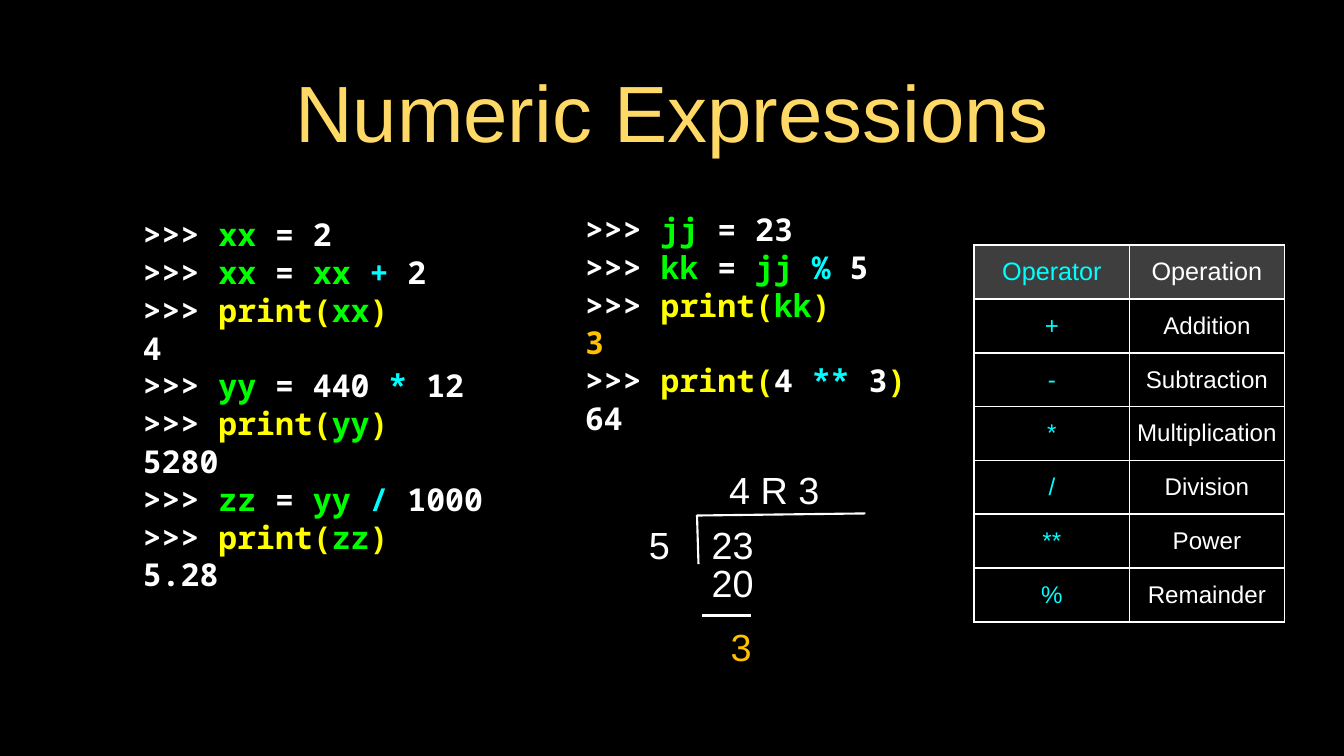
from lxml.etree import SubElement
from pptx import Presentation
from pptx.dml.color import RGBColor
from pptx.enum.shapes import MSO_CONNECTOR
from pptx.enum.text import MSO_ANCHOR, PP_ALIGN
from pptx.oxml.ns import qn
from pptx.util import Cm, Pt

COLORS = {
    "black": "000000",
    "white": "FFFFFF",
    "green": "00FF00",
    "cyan": "00FFFF",
    "yellow": "FFFF00",
    "orange": "FFC000",
    "gold": "FFD966",
    "gray": "7F7F7F",
}
TOKEN_COLORS = {
    **dict.fromkeys(["xx", "yy", "zz", "jj", "kk"], "green"),
    **dict.fromkeys(["+", "*", "/", "%", "**"], "cyan"),
    **dict.fromkeys(["print(", ")"], "yellow"),
    "3": "orange",
}


def rgb(name):
    return RGBColor.from_string(COLORS[name])


def add_text(slide, box, text, size, color, align=PP_ALIGN.CENTER):
    """Add one centred line of Arial in a box given as left, top, width, height in cm."""
    frame = slide.shapes.add_textbox(*map(Cm, box)).text_frame
    frame.word_wrap = True
    frame.vertical_anchor = MSO_ANCHOR.MIDDLE
    frame.margin_left = frame.margin_right = frame.margin_top = frame.margin_bottom = 0
    paragraph = frame.paragraphs[0]
    paragraph.alignment = align
    paragraph.font.name = "Arial"
    paragraph.font.size = Pt(size)
    paragraph.font.color.rgb = rgb(color)
    paragraph.text = text
    return frame


presentation = Presentation()
presentation.slide_width = Cm(45.16)
presentation.slide_height = Cm(25.4)
slide = presentation.slides.add_slide(presentation.slide_layouts[6])
slide.background.fill.solid()
slide.background.fill.fore_color.rgb = rgb("black")

add_text(slide, (2.26, 2.18, 40.64, 3.07), "Numeric Expressions", 76, "gold")

# Code sessions: "|" separates the tokens that are coloured
sessions = [
    ((4.8, 6.2, 12.4, 14.76), [
        ">>> |xx| = 2",
        ">>> |xx| = |xx| |+| 2",
        ">>> |print(|xx|)",
        "4",
        ">>> |yy| = 440 |*| 12",
        ">>> |print(|yy|)",
        "5280",
        ">>> |zz| = |yy| |/| 1000",
        ">>> |print(|zz|)",
        "5.28",
    ]),
    ((19.66, 6.38, 11.18, 8.97), [
        ">>> |jj| = 23",
        ">>> |kk| = |jj| |%| 5",
        ">>> |print(|kk|)",
        "3",
        ">>> |print(|4 |**| 3|)",
        "64",
    ]),
]
for box, lines in sessions:
    frame = add_text(slide, box, "", 30, "white", PP_ALIGN.LEFT)
    for index, line in enumerate(lines):
        paragraph = frame.add_paragraph() if index else frame.paragraphs[0]
        paragraph.line_spacing = Pt(36)
        paragraph.font.name = "Noto Sans Mono"
        paragraph.font.size = Pt(30)
        paragraph.font.bold = True
        for token in line.split("|"):
            run = paragraph.add_run()
            run.text = token
            run.font.color.rgb = rgb(TOKEN_COLORS.get(token, "white"))

# Operator table
operations = [
    ("Operator", "Operation"),
    ("+", "Addition"),
    ("-", "Subtraction"),
    ("*", "Multiplication"),
    ("/", "Division"),
    ("**", "Power"),
    ("%", "Remainder"),
]
row_height, column_width = Cm(1.81), Cm(5.21)
table = slide.shapes.add_table(
    len(operations), 2, Cm(32.74), Cm(8.23), 2 * column_width, len(operations) * row_height
).table
for column in table.columns:
    column.width = column_width
for row, labels in enumerate(operations):
    table.rows[row].height = row_height
    for column, (label, color) in enumerate(zip(labels, ("cyan", "white"))):
        cell = table.cell(row, column)
        cell.vertical_anchor = MSO_ANCHOR.MIDDLE
        cell.margin_left = cell.margin_right = cell.margin_top = cell.margin_bottom = Cm(0.1)
        paragraph = cell.text_frame.paragraphs[0]
        paragraph.alignment = PP_ALIGN.CENTER
        paragraph.font.name = "Arial"
        paragraph.font.size = Pt(23 if row else 24)
        paragraph.font.bold = False
        paragraph.font.color.rgb = rgb(color)
        paragraph.text = label

        properties = cell._tc.get_or_add_tcPr()
        for side in ("a:lnL", "a:lnR", "a:lnT", "a:lnB"):
            border = SubElement(properties, qn(side), w=str(Pt(2)))
            fill = SubElement(border, qn("a:solidFill"))
            SubElement(fill, qn("a:srgbClr"), val=COLORS["white"])
        if row:
            cell.fill.background()
        else:
            cell.fill.solid()
            cell.fill.fore_color.rgb = rgb("gray")
            gray = properties.find(qn("a:solidFill")).find(qn("a:srgbClr"))
            SubElement(gray, qn("a:alpha"), val="49000")

# Long division of 23 by 5
division_lines = [
    (23.42, 17.3, 23.47, 18.95),
    (23.42, 17.32, 29.08, 17.25),
    (23.6, 20.68, 25.22, 20.68),
]
for ends in division_lines:
    connector = slide.shapes.add_connector(MSO_CONNECTOR.STRAIGHT, *map(Cm, ends))
    connector.line.color.rgb = rgb("white")
    connector.line.width = Pt(2)
    SubElement(connector._element.spPr, qn("a:effectLst"))

division_numbers = [
    ("4 R 3", 24.49, 15.57, 3.05, "white"),
    ("5", 21.69, 17.42, 0.94, "white"),
    ("23", 23.83, 17.42, 1.57, "white"),
    ("20", 23.83, 18.69, 1.57, "white"),
    ("3", 24.43, 20.85, 0.94, "orange"),
]
for text, left, top, width, color in division_numbers:
    add_text(slide, (left, top, width, 1.73), text, 36, color)

presentation.save("out.pptx")
